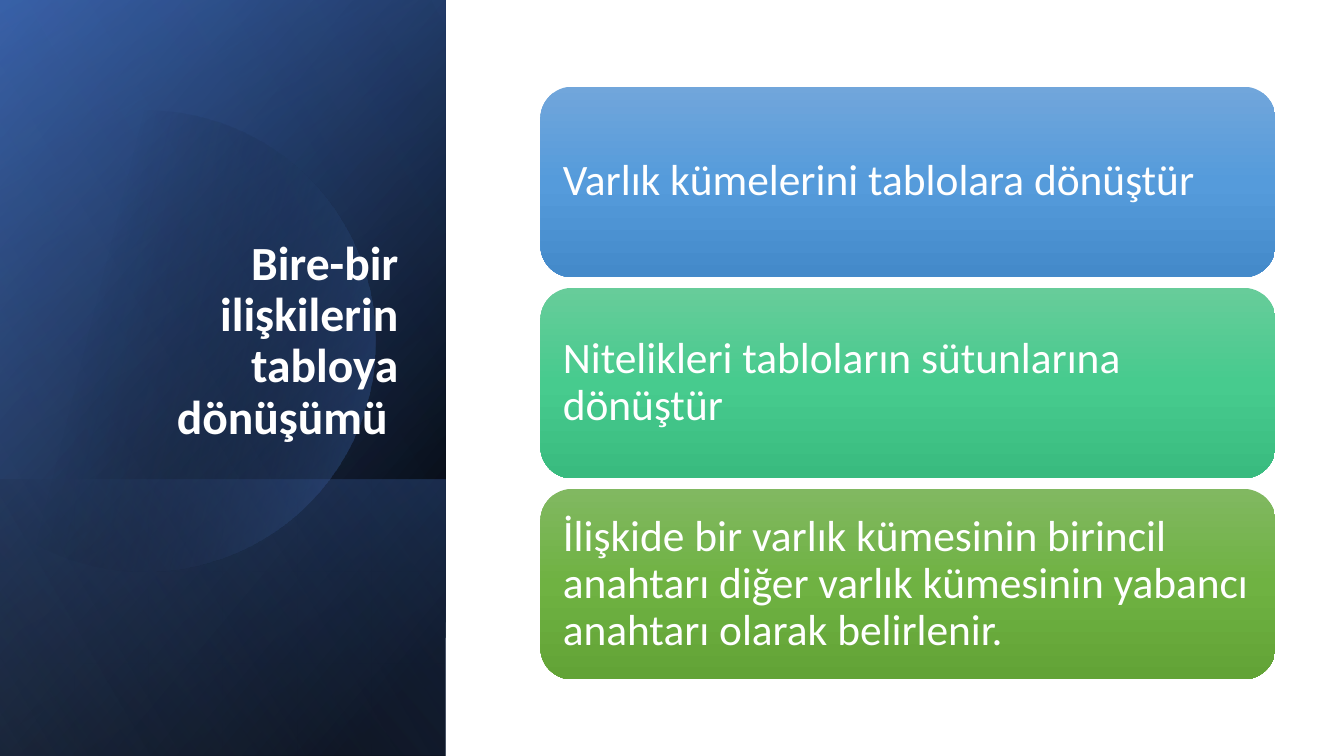
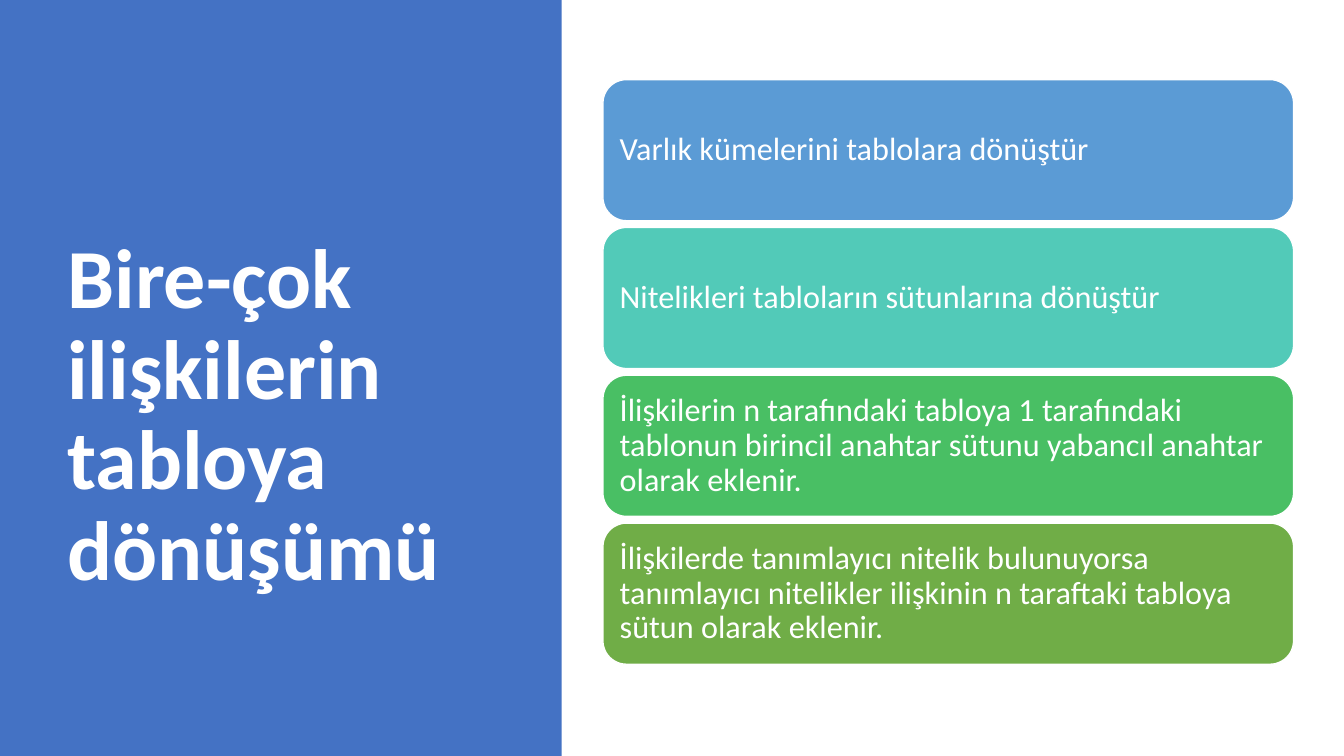
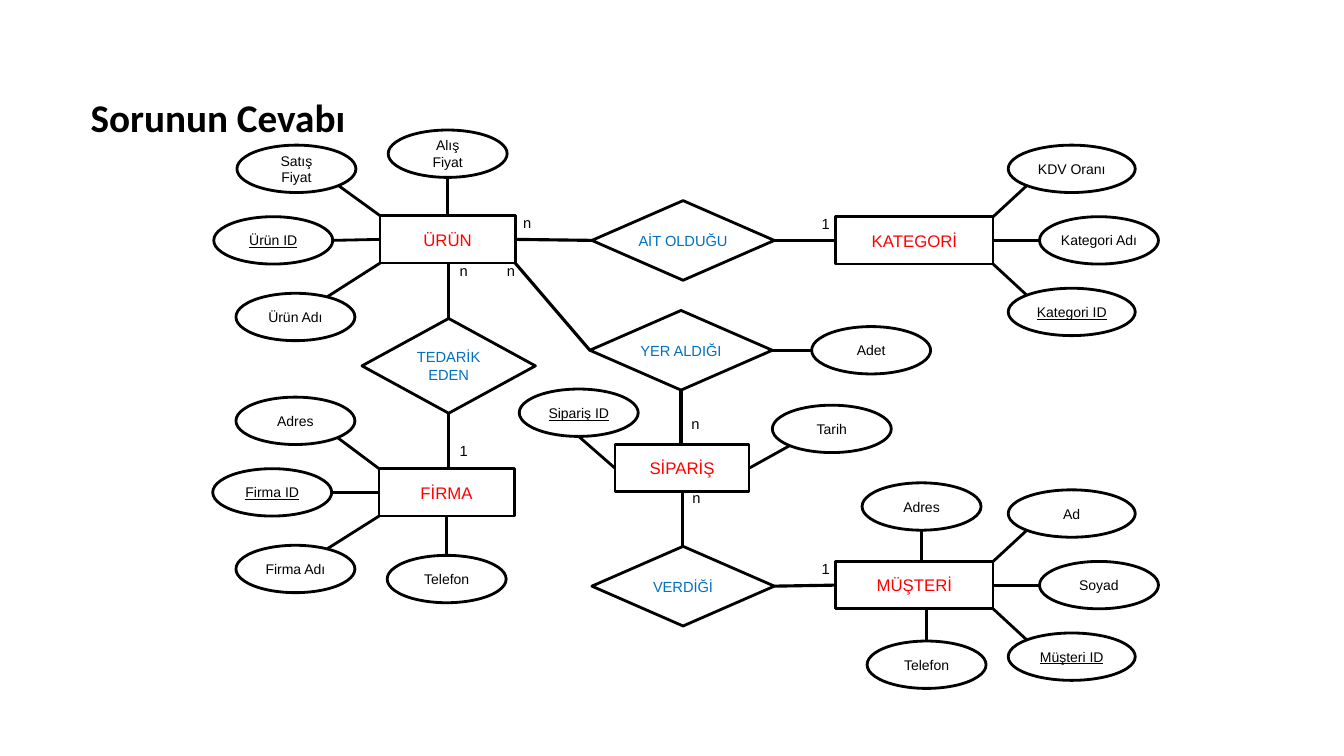
from dataclasses import dataclass

from lxml import etree
from pptx import Presentation
from pptx.dml import color as dml
from pptx.enum import shapes as kinds, text as tx
from pptx.oxml import ns
from pptx.util import Inches, Pt


@dataclass(frozen=True)
class Theme:
    head: str = "Calibri"
    body: str = "Arial"
    white: str = "FFFFFF"
    ink: str = "000000"
    blue: str = "4472C4"
    navy: str = "2F5597"
    pale: str = "8FAADC"
    red: str = "FF0000"
    azure: str = "0070C0"
    side: float = 34
    big: float = 60
    title: float = 28
    entity: float = 12
    link: float = 10.5
    attr: float = 10
    thin: float = 2
    thick: float = 2.25


T = Theme()
MID = tx.MSO_ANCHOR.MIDDLE
LEFT, CENTER, RIGHT = tx.PP_ALIGN.LEFT, tx.PP_ALIGN.CENTER, tx.PP_ALIGN.RIGHT
FORM = kinds.MSO_SHAPE

STEPS = ["Varlık kümelerini tablolara dönüştür",
         "Nitelikleri tabloların sütunlarına dönüştür"]
ONE = STEPS + ["İlişkide bir varlık kümesinin birincil anahtarı diğer varlık "
               "kümesinin yabancı anahtarı olarak belirlenir."]
MANY = STEPS + ["İlişkilerin n tarafındaki tabloya 1 tarafındaki tablonun "
                "birincil anahtar sütunu yabancıl anahtar olarak eklenir.",
                "İlişkilerde tanımlayıcı nitelik bulunuyorsa tanımlayıcı "
                "nitelikler ilişkinin n taraftaki tabloya sütun olarak eklenir."]

HUES = [("71A6DB", "559BDB", "448ACA"),
        ("67CC9A", "47CB8E", "39BB7F"),
        ("81B861", "6FB242", "62A336")]
FLATS = ["5B9BD5", "52CAB8", "49BF64", "70AD47"]

PANEL = (-1.54, 1.54, 7.5, 4.42)
BAND = (0.84, 3.92, 2.74, 4.42)
ARC = [(0, 1.61), (0.23, 1.42), (0.5, 1.28), (0.8, 1.19),
       (1.03, 1.13), (1.26, 1.1), (1.49, 1.1),
       (2.46, 1.12), (3.35, 1.77), (3.63, 2.75),
       (3.98, 3.97), (3.28, 5.23), (2.07, 5.58),
       (1.31, 5.8), (0.53, 5.61), (-0.03, 5.14)]

ENTITIES = {"ÜRÜN": (3.77, 2.14, 1.34, 0.47),
            "KATEGORİ": (8.29, 2.15, 1.56, 0.47),
            "FİRMA": (3.76, 4.65, 1.34, 0.47),
            "SİPARİŞ": (6.1, 4.41, 1.33, 0.47),
            "MÜŞTERİ": (8.29, 5.57, 1.56, 0.47)}
BONDS = {"AİT OLDUĞU": (5.87, 1.99, 1.81, 0.79),
         "TEDARİK\nEDEN": (3.59, 3.16, 1.72, 0.94),
         "YER ALDIĞI": (5.85, 3.08, 1.81, 0.79),
         "VERDİĞİ": (5.87, 5.42, 1.81, 0.79)}
NODES = {**ENTITIES, **BONDS}
SLIM, WIDE = 1.18, 1.26

ATTRS = [("Satış\nFiyat", 2.35, 1.44, SLIM, "se", "ÜRÜN", "nw"),
         ("Alış\nFiyat", 3.85, 1.29, SLIM, "s", "ÜRÜN", "n"),
         ("Ürün ID", 2.12, 2.15, SLIM, "e", "ÜRÜN", "w"),
         ("Ürün Adı", 2.34, 2.91, SLIM, "nne", "ÜRÜN", "sw"),
         ("KDV Oranı", 10, 1.44, WIDE, "sw", "KATEGORİ", "ne"),
         ("Kategori Adı", 10.31, 2.15, SLIM, "w", "KATEGORİ", "e"),
         ("Kategori ID", 10, 2.86, WIDE, "nw", "KATEGORİ", "se"),
         ("Adres", 2.34, 3.94, SLIM, "se", "FİRMA", "nw"),
         ("Firma ID", 2.11, 4.65, SLIM, "e", "FİRMA", "w"),
         ("Firma Adı", 2.34, 5.41, SLIM, "nne", "FİRMA", "sw"),
         ("Telefon", 3.84, 5.51, SLIM, "n", "FİRMA", "s"),
         ("Sipariş ID", 5.15, 3.86, SLIM, "s", "SİPARİŞ", "w"),
         ("Tarih", 7.66, 4.02, SLIM, "sw", "SİPARİŞ", "e"),
         ("Adet", 8.05, 3.24, SLIM, "w", "YER ALDIĞI", "e"),
         ("Adres", 8.55, 4.79, SLIM, "s", "MÜŞTERİ", "n"),
         ("Telefon", 8.6, 6.36, SLIM, "n", "MÜŞTERİ", "s"),
         ("Ad", 10, 4.86, WIDE, "sw", "MÜŞTERİ", "ne"),
         ("Soyad", 10.31, 5.57, SLIM, "w", "MÜŞTERİ", "e"),
         ("Müşteri ID", 10, 6.28, WIDE, "nw", "MÜŞTERİ", "se")]

ROLES = [("ÜRÜN", "e", "AİT OLDUĞU", "w"),
         ("AİT OLDUĞU", "e", "KATEGORİ", "w"),
         ("TEDARİK\nEDEN", "n", "ÜRÜN", "s"),
         ("TEDARİK\nEDEN", "s", "FİRMA", "n"),
         ("YER ALDIĞI", "w", "ÜRÜN", "se"),
         ("YER ALDIĞI", "s", "SİPARİŞ", "n"),
         ("SİPARİŞ", "s", "VERDİĞİ", "n"),
         ("VERDİĞİ", "e", "MÜŞTERİ", "w")]

COUNTS = [("1", 8.05, 2.08), ("n", 5.09, 2.07), ("1", 4.46, 4.33),
          ("n", 4.46, 2.55), ("n", 4.93, 2.55), ("n", 6.77, 4.8),
          ("n", 6.76, 4.07), ("1", 8.05, 5.5)]


def rgb(code):
    return dml.RGBColor.from_string(code)


def frame(box):
    return [Inches(v) for v in box]


def write(shape, words, size, color, font=T.head, align=LEFT, anchor=MID,
          pad=None, space=None, bold=False, under=False, wrap=True):
    area = shape.text_frame
    area.word_wrap = wrap
    area.vertical_anchor = anchor
    if pad is not None:
        area.margin_left = area.margin_right = Inches(pad)
        area.margin_top = area.margin_bottom = Inches(pad)
    area.text = words
    for para in area.paragraphs:
        para.alignment = align
        para.line_spacing = space
        face = para.font
        face.name, face.size, face.bold = font, Pt(size), bold
        face.underline = under
        face.color.rgb = rgb(color)


def label(slide, box, words, size, color, **style):
    write(slide.shapes.add_textbox(*frame(box)), words, size, color, **style)


def title(slide, box, words, size, color, **style):
    label(slide, box, words, size, color, bold=True, space=0.9, **style)


def block(slide, form, box, fill=None, line=None, width=T.thin):
    shape = slide.shapes.add_shape(form, *frame(box))
    shape.shadow.inherit = False
    if fill:
        shape.fill.solid()
        shape.fill.fore_color.rgb = rgb(fill)
    else:
        shape.fill.background()
    if line:
        shape.line.color.rgb = rgb(line)
        shape.line.width = Pt(width)
    else:
        shape.line.fill.background()
    return shape


def blend(shape, stops, angle):
    shape.fill.gradient()
    grad = shape._element.spPr.find(ns.qn("a:gradFill"))
    for child in list(grad):
        grad.remove(child)
    grad.set("rotWithShape", "1")
    ramp = etree.SubElement(grad, ns.qn("a:gsLst"))
    for place, code, alpha in stops:
        stop = etree.SubElement(ramp, ns.qn("a:gs"), pos=str(place * 1000))
        tone = etree.SubElement(stop, ns.qn("a:srgbClr"), val=code)
        if alpha < 100:
            etree.SubElement(tone, ns.qn("a:alpha"), val=str(alpha * 1000))
    etree.SubElement(grad, ns.qn("a:lin"), ang=str(angle * 60000), scaled="0")


def veil(slide, box, stops, angle):
    shape = block(slide, FORM.RECTANGLE, box)
    shape.rotation = 90
    shape._element.spPr.find(ns.qn("a:xfrm")).set("flipH", "1")
    blend(shape, stops, angle)


def curve(points, steps=24):
    path = [points[0]]
    for i in range(0, len(points) - 1, 3):
        a, b, c, d = points[i:i + 4]
        for k in range(1, steps + 1):
            t = k / steps
            s = 1 - t
            x, y = (s ** 3 * p + 3 * s * s * t * q + 3 * s * t * t * r + t ** 3 * e
                    for p, q, r, e in zip(a, b, c, d))
            path.append((max(x, 0), y))
    return path


def disc(slide, points, stops, angle):
    first, *rest = [frame(p) for p in curve(points)]
    maker = slide.shapes.build_freeform(*first, scale=1.0)
    maker.add_line_segments(rest, close=True)
    shape = maker.convert_to_shape()
    shape.shadow.inherit = False
    shape.line.fill.background()
    blend(shape, stops, angle)


def cards(slide, box, last, words, size, pad, line=None):
    left, top, wide, high = box
    step = (last - top) / (len(words) - 1)
    made = []
    for i, item in enumerate(words):
        card = block(slide, FORM.ROUNDED_RECTANGLE,
                     (left, top + i * step, wide, high), line=line, width=1)
        write(card, item, size, T.white, pad=pad, space=0.9)
        made.append(card)
    return made


def spot(box, side, oval=False):
    x, y, w, h = box
    if side == "nne":
        return x + 0.77 * w, y + 0.07 * h
    reach = 0.354 if oval and len(side) == 2 else 0.5
    across = ("e" in side) - ("w" in side)
    down = ("s" in side) - ("n" in side)
    return x + w * (0.5 + reach * across), y + h * (0.5 + reach * down)


def join(slide, box, side, other, far, width, oval=False):
    x, y = spot(box, side, oval)
    fx, fy = spot(other, far)
    if {side, far} == {"n", "s"}:
        fx = x
    line = slide.shapes.add_connector(kinds.MSO_CONNECTOR.STRAIGHT,
                                      *frame((x, y, fx, fy)))
    line.line.color.rgb = rgb(T.ink)
    line.line.width = Pt(width)
    etree.SubElement(line._element.spPr, ns.qn("a:effectLst"))


def node(slide, form, box, words, size, color, under=False):
    shape = block(slide, form, box, line=T.ink)
    write(shape, words, size, color, font=T.body, align=CENTER,
          under=under, wrap=False)


def single(slide):
    veil(slide, PANEL, [(8, T.ink, 100), (100, T.navy, 100)], 50)
    veil(slide, PANEL, [(0, T.ink, 0), (99, T.blue, 46)], 30)
    veil(slide, BAND, [(2, T.blue, 29), (100, T.ink, 30)], 130)
    disc(slide, ARC, [(29, T.ink, 0), (100, T.blue, 43)], 14)
    veil(slide, PANEL, [(0, T.ink, 0), (99, T.pale, 11)], 120)
    title(slide, (0.64, 1.84, 3.41, 2.62), "Bire-bir ilişkilerin tabloya dönüşümü ",
          T.side, T.white, align=RIGHT, anchor=tx.MSO_ANCHOR.BOTTOM)
    made = cards(slide, (5.36, 0.86, 7.29, 1.89), 4.85, ONE, 31, 0.13)
    for card, hues in zip(made, HUES):
        blend(card, [(p, c, 100) for p, c in zip((0, 50, 100), hues)], 90)


def multi(slide):
    block(slide, FORM.RECTANGLE, (0, 0, 5.57, 7.5), T.blue)
    title(slide, (0.57, 1.13, 4.16, 6.02), "Bire-çok ilişkilerin tabloya dönüşümü",
          T.big, T.white)
    made = cards(slide, (5.98, 0.79, 6.85, 1.4), 5.19, MANY, 23, 0.1, T.white)
    for card, hue in zip(made, FLATS):
        card.fill.solid()
        card.fill.fore_color.rgb = rgb(hue)


def answer(slide):
    title(slide, (0.8, 0.47, 9.4, 1.44), "Sorunun Cevabı", T.title, T.ink)
    for name, box in ENTITIES.items():
        node(slide, FORM.RECTANGLE, box, name, T.entity, T.red)
    for name, box in BONDS.items():
        node(slide, FORM.DIAMOND, box, name, T.link, T.azure)
    for name, x, y, wide, side, owner, far in ATTRS:
        box = (x, y, wide, 0.47)
        node(slide, FORM.OVAL, box, name, T.attr, T.ink, name.endswith(" ID"))
        join(slide, box, side, NODES[owner], far, T.thin, oval=True)
    for name, side, other, far in ROLES:
        join(slide, NODES[name], side, NODES[other], far, T.thick)
    for mark, x, y in COUNTS:
        label(slide, (x, y, 0.23, 0.29), mark, T.link, T.ink, font=T.body,
              align=CENTER, anchor=tx.MSO_ANCHOR.TOP)


def main():
    deck = Presentation()
    deck.slide_width, deck.slide_height = Inches(13.33), Inches(7.5)
    for draw in (single, multi, answer):
        draw(deck.slides.add_slide(deck.slide_layouts[6]))
    deck.save("out.pptx")


if __name__ == "__main__":
    main()
